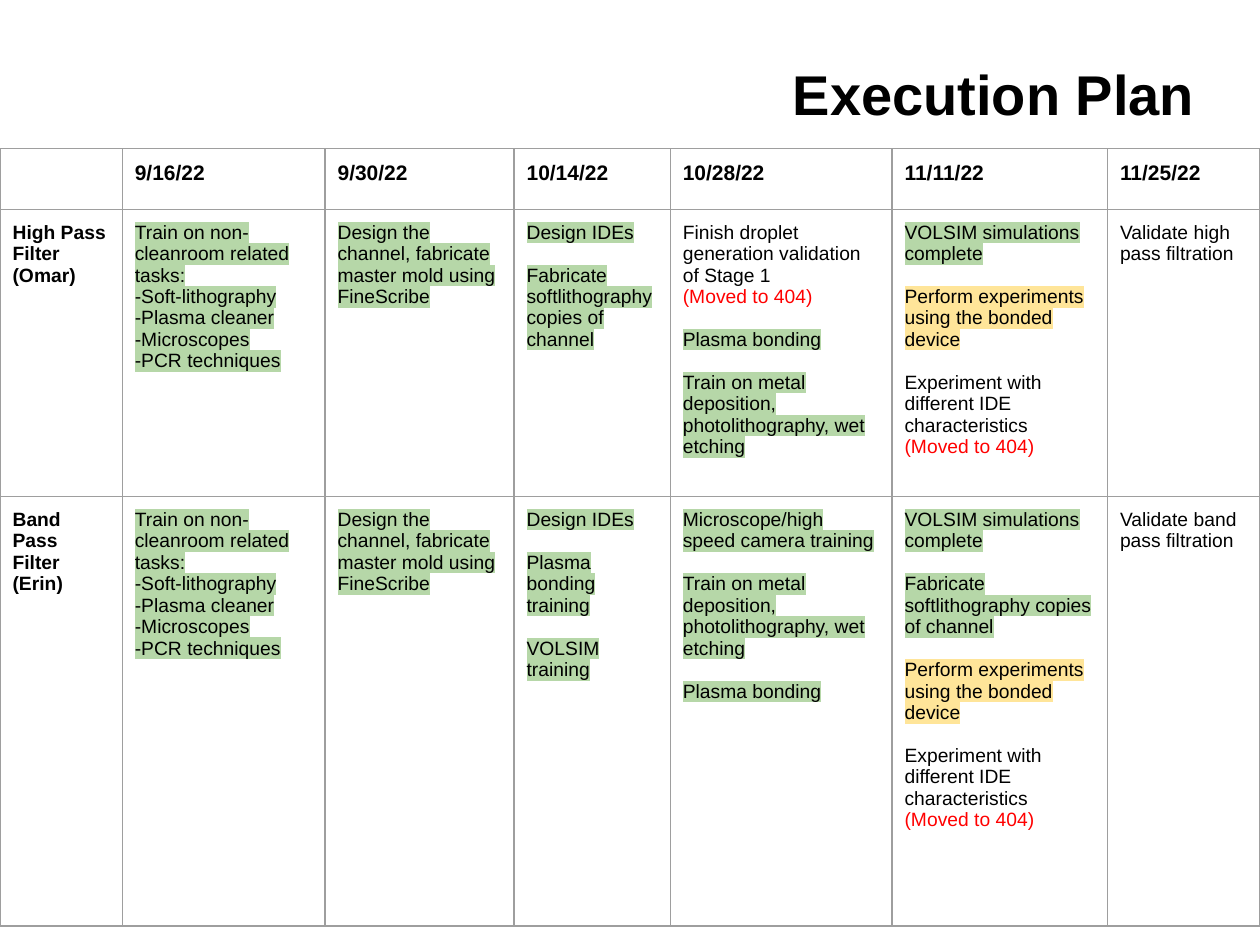
from lxml.etree import SubElement
from pptx import Presentation
from pptx.dml.color import RGBColor
from pptx.enum.text import MSO_ANCHOR as Anchor, PP_ALIGN as Align
from pptx.oxml.ns import qn
from pptx.util import Inches, Pt

BLACK = RGBColor(0x00, 0x00, 0x00)
RED = RGBColor(0xFF, 0x00, 0x00)
GREEN = RGBColor(0xB6, 0xD7, 0xA8)
YELLOW = RGBColor(0xFF, 0xE5, 0x99)
GREY = RGBColor(0x9E, 0x9E, 0x9E)

FONT = "Arial"
GROUP_GAP = Pt(12.3)
COLUMN_WIDTHS = [0.97, 1.61, 1.5, 1.24, 1.76, 1.71, 1.21]
ROW_HEIGHTS = [0.48, 2.28, 3.41]
DATES = ["9/16/22", "9/30/22", "10/14/22", "10/28/22", "11/11/22", "11/25/22"]


def item(text, highlight=None, color=BLACK):
    """Describe one paragraph of a plan cell."""
    return text, highlight, color


def done(text):
    """Describe a group holding one finished task."""
    return [item(text, GREEN)]


MOVED = item("(Moved to 404)", color=RED)
TRAINING = [[item(text, GREEN) for text in (
    "Train on non-cleanroom related tasks:", "-Soft-lithography",
    "-Plasma cleaner", "-Microscopes", "-PCR techniques")]]
MOLD = [done("Design the channel, fabricate master mold using FineScribe")]
IDES = done("Design IDEs")
COPIES = done("Fabricate softlithography copies of channel")
BONDING = done("Plasma bonding")
METAL = done("Train on metal deposition, photolithography, wet etching")
SIMULATIONS = done("VOLSIM simulations complete")
EXPERIMENTS = [
    [item("Perform experiments using the bonded device", YELLOW)],
    [item("Experiment with different IDE characteristics"), MOVED],
]

PLAN = {
    "High Pass Filter (Omar)": [
        TRAINING,
        MOLD,
        [IDES, COPIES],
        [[item("Finish droplet generation validation of Stage 1"), MOVED],
         BONDING, METAL],
        [SIMULATIONS, *EXPERIMENTS],
        [[item("Validate high pass filtration")]],
    ],
    "Band Pass Filter (Erin)": [
        TRAINING,
        MOLD,
        [IDES, done("Plasma bonding training"), done("VOLSIM training")],
        [done("Microscope/high speed camera training"), METAL, BONDING],
        [SIMULATIONS, COPIES, *EXPERIMENTS],
        [[item("Validate band pass filtration")]],
    ],
}


def set_font(paragraph, size, bold=False, color=BLACK):
    """Set the font of a whole paragraph."""
    font = paragraph.font
    font.name, font.size, font.bold = FONT, Pt(size), bold
    font.color.rgb = color


def add_title(slide, left, top, width, height):
    """Place the right-aligned slide title in the given box."""
    frame = slide.shapes.add_textbox(left, top, width, height).text_frame
    frame.word_wrap = True
    frame.vertical_anchor = Anchor.MIDDLE
    paragraph = frame.paragraphs[0]
    paragraph.text = "Execution Plan"
    paragraph.alignment = Align.RIGHT
    set_font(paragraph, 32, bold=True)


def style_cell(cell):
    """Give a cell even margins, grey borders and no fill."""
    cell.margin_left = cell.margin_right = Inches(0.1)
    cell.margin_top = cell.margin_bottom = Inches(0.1)
    properties = cell._tc.get_or_add_tcPr()
    for side in ("lnL", "lnR", "lnT", "lnB"):
        line = SubElement(properties, qn(f"a:{side}"), w=str(Pt(0.75)))
        fill = SubElement(line, qn("a:solidFill"))
        SubElement(fill, qn("a:srgbClr"), val=str(GREY))
    cell.fill.background()


def write_label(cell, text, size):
    """Write a bold row or column heading."""
    paragraph = cell.text_frame.paragraphs[0]
    paragraph.text = text
    set_font(paragraph, size, bold=True)


def write_groups(cell, groups):
    """Write groups of paragraphs with a gap between groups."""
    frame = cell.text_frame
    paragraph = None
    for group in groups:
        for index, (text, highlight, color) in enumerate(group):
            first = paragraph is None
            paragraph = frame.paragraphs[0] if first else frame.add_paragraph()
            if index == 0 and not first:
                paragraph.space_before = GROUP_GAP
            run = paragraph.add_run()
            run.text = text
            set_font(paragraph, 11, color=color)
            if highlight is not None:
                mark = SubElement(run._r.get_or_add_rPr(), qn("a:highlight"))
                SubElement(mark, qn("a:srgbClr"), val=str(highlight))


def add_plan(slide, left, top, width, height):
    """Place the plan table, sharing the box among columns and rows."""
    table = slide.shapes.add_table(
        len(ROW_HEIGHTS), len(COLUMN_WIDTHS), left, top, width, height).table
    table.first_row = table.horz_banding = False
    for column, share in zip(table.columns, COLUMN_WIDTHS):
        column.width = int(width * share / sum(COLUMN_WIDTHS))
    for row, share in zip(table.rows, ROW_HEIGHTS):
        row.height = int(height * share / sum(ROW_HEIGHTS))
    for cell in table.iter_cells():
        style_cell(cell)
    for index, text in enumerate(["", *DATES]):
        write_label(table.cell(0, index), text, 12)
    for row, (label, entries) in enumerate(PLAN.items(), start=1):
        write_label(table.cell(row, 0), label, 11)
        for column, groups in enumerate(entries, start=1):
            write_groups(table.cell(row, column), groups)


def main():
    """Build and save the slide."""
    presentation = Presentation()
    presentation.slide_width, presentation.slide_height = Inches(10), Inches(7.5)
    slide = presentation.slides.add_slide(presentation.slide_layouts[6])
    add_title(slide, Inches(0.58), Inches(0.3), Inches(9), Inches(0.88))
    add_plan(slide, 0, Inches(1.18), presentation.slide_width,
             Inches(sum(ROW_HEIGHTS)))
    presentation.save("out.pptx")


if __name__ == "__main__":
    main()
